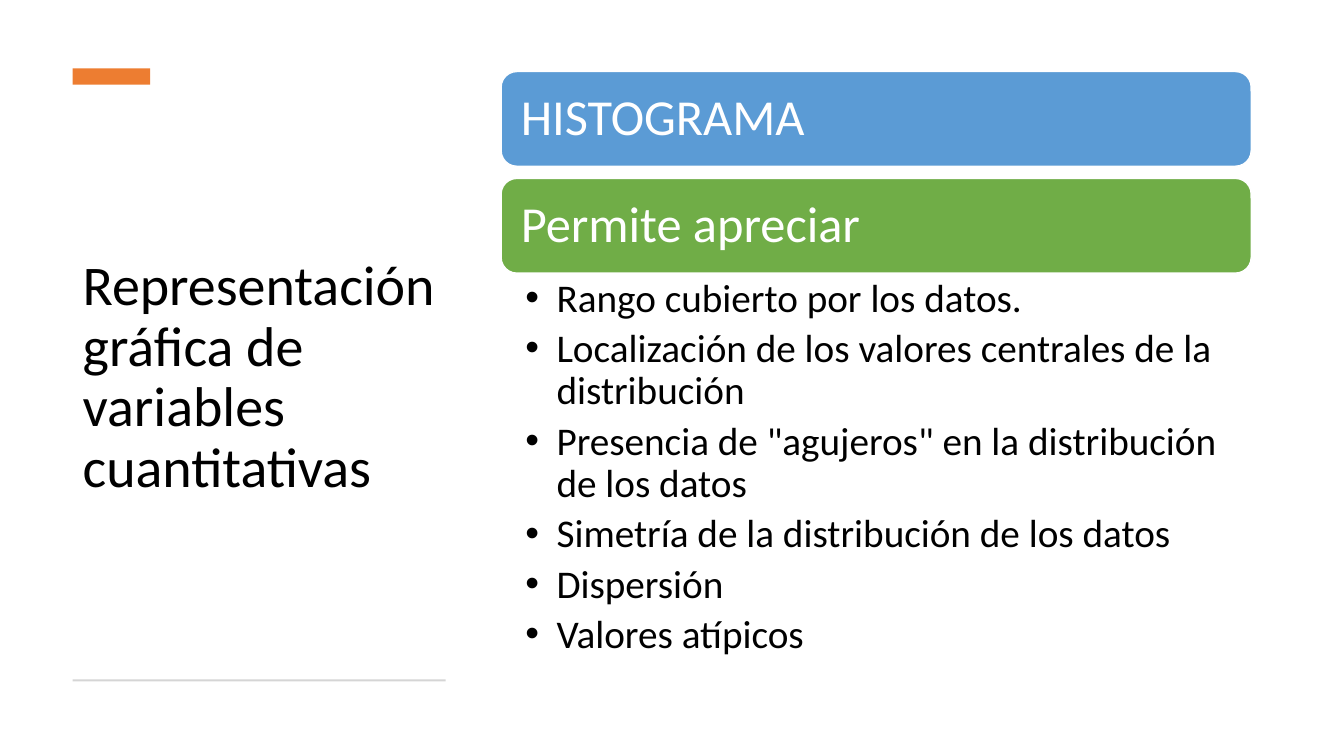
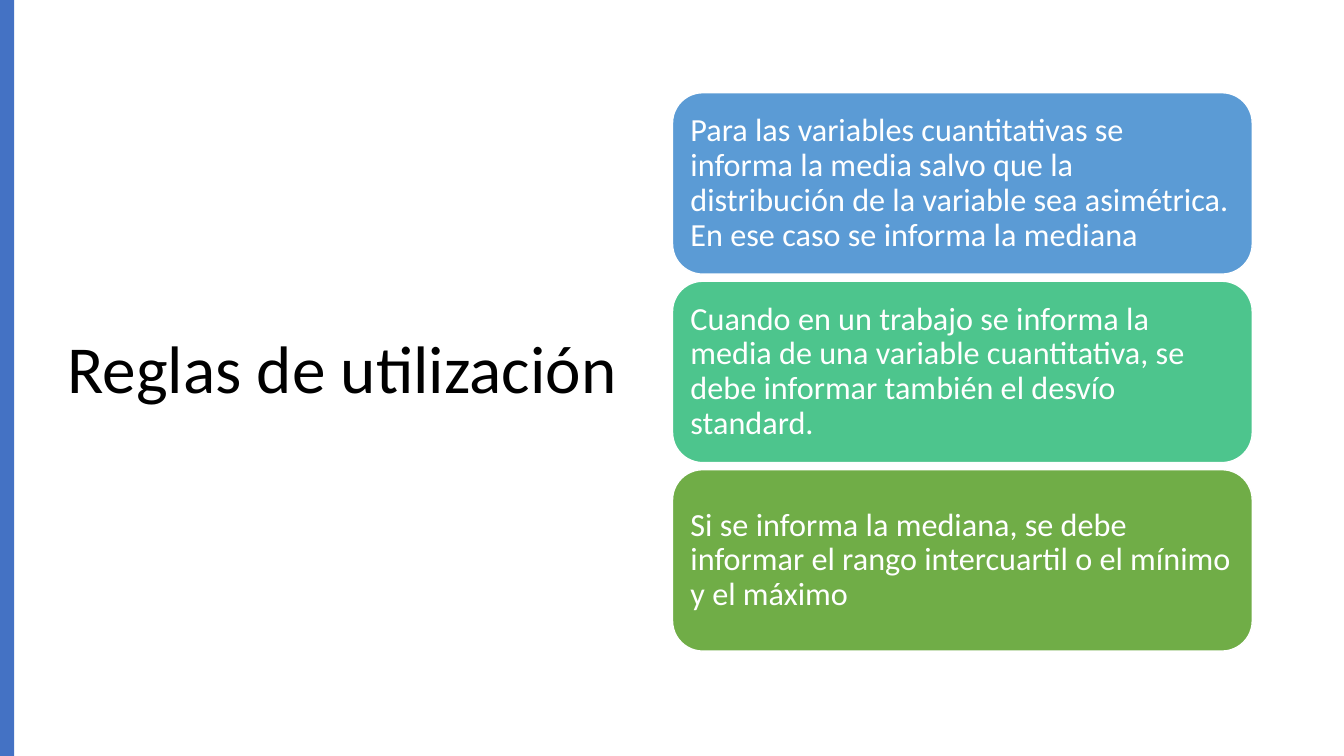
from pptx import Presentation
from pptx.dml.color import RGBColor
from pptx.enum.shapes import MSO_SHAPE as Shape
from pptx.enum.text import MSO_ANCHOR as Anchor, MSO_AUTO_SIZE as AutoSize, PP_ALIGN as Align
from pptx.util import Emu, Pt

FONT = "Calibri"
BLACK, WHITE, RULE_GREY = "000000", "FFFFFF", "D5D5D5"
ORANGE, ROYAL, BLUE, MINT, GREEN = "ED7D31", "4472C4", "5B9BD5", "4DC58D", "70AD47"
TITLE_AND_BODY, TITLE_ONLY = 1, 5


def px(length):
    return Emu(length * 9144)


def color(hex_code):
    return RGBColor.from_string(hex_code)


def place(part, box):
    part.left, part.top, part.width, part.height = map(px, box)


def style_text(frame, size, hex_code, anchor, insets, space_after=0):
    frame.word_wrap = True
    frame.auto_size = AutoSize.NONE
    frame.vertical_anchor = anchor
    frame.margin_left, frame.margin_top, frame.margin_right, frame.margin_bottom = map(px, insets)
    for paragraph in frame.paragraphs:
        paragraph.alignment = Align.LEFT
        paragraph.line_spacing = 0.9
        paragraph.space_before = Pt(0)
        paragraph.space_after = Pt(space_after)
        for run in paragraph.runs:
            run.font.name = FONT
            run.font.size = Pt(size)
            run.font.color.rgb = color(hex_code)


def add_title(slide, box, text, size):
    title = slide.shapes.title
    place(title, box)
    title.text_frame.text = text
    style_text(title.text_frame, size, BLACK, Anchor.MIDDLE, (10, 5, 10, 5))


def add_block(slide, box, fill, preset=Shape.RECTANGLE):
    block = slide.shapes.add_shape(preset, *map(px, box))
    block.shadow.inherit = False
    block.fill.solid()
    block.fill.fore_color.rgb = color(fill)
    block.line.fill.background()
    return block


def add_cards(slide, box, gap, size, inset, cards):
    left, top, width, height = box
    card_height = (height - gap * (len(cards) - 1)) // len(cards)
    for index, (text, fill) in enumerate(cards):
        card_top = top + index * (card_height + gap)
        card = add_block(slide, (left, card_top, width, card_height), fill, Shape.ROUNDED_RECTANGLE)
        card.line.color.rgb = color(WHITE)
        card.line.width = Pt(1)
        card.text_frame.text = text
        style_text(card.text_frame, size, WHITE, Anchor.MIDDLE, (inset,) * 4)


def add_bullets(slide, box, items):
    body = slide.placeholders[1]
    place(body, box)
    body.text_frame.text = "\n".join(items)
    style_text(body.text_frame, 28, BLACK, Anchor.TOP, (24, 5, 28, 5), 5.7)
    for paragraph in body.text_frame.paragraphs:
        properties = paragraph._p.get_or_add_pPr()
        properties.set("marL", str(px(31)))
        properties.set("indent", str(px(-31)))


def build_histogram(deck):
    slide = deck.slides.add_slide(deck.slide_layouts[TITLE_AND_BODY])
    left, width = 72, 370
    add_title(slide, (left, 105, width, 541), "Representación gráfica de variables cuantitativas", 40)
    add_block(slide, (left, 68, 77, 16), ORANGE)
    add_block(slide, (left, 674, width, 2), RULE_GREY)
    add_cards(slide, (497, 71, 744, 200), 12, 36, 15, [
        ("HISTOGRAMA", BLUE),
        ("Permite apreciar", GREEN),
    ])
    add_bullets(slide, (497, 271, 744, 399), [
        "Rango cubierto por los datos.",
        "Localización de los valores centrales de la distribución",
        'Presencia de "agujeros" en la distribución de los datos',
        "Simetría de la distribución de los datos",
        "Dispersión",
        "Valores atípicos",
    ])


def build_rules(deck):
    slide = deck.slides.add_slide(deck.slide_layouts[TITLE_ONLY])
    add_title(slide, (57, 68, 567, 602), "Reglas de utilización", 48)
    add_block(slide, (0, 0, 14, 750), ROYAL)
    add_cards(slide, (667, 92, 575, 554), 7, 23, 9, [
        ("Para las variables cuantitativas se informa la media salvo que la distribución "
         "de la variable sea asimétrica. En ese caso se informa la mediana", BLUE),
        ("Cuando en un trabajo se informa la media de una variable cuantitativa, "
         "se debe informar también el desvío standard.", MINT),
        ("Si se informa la mediana, se debe informar el rango intercuartil "
         "o el mínimo y el máximo", GREEN),
    ])


def main():
    deck = Presentation()
    deck.slide_width, deck.slide_height = px(1333), px(750)
    build_histogram(deck)
    build_rules(deck)
    deck.save("out.pptx")


if __name__ == "__main__":
    main()
